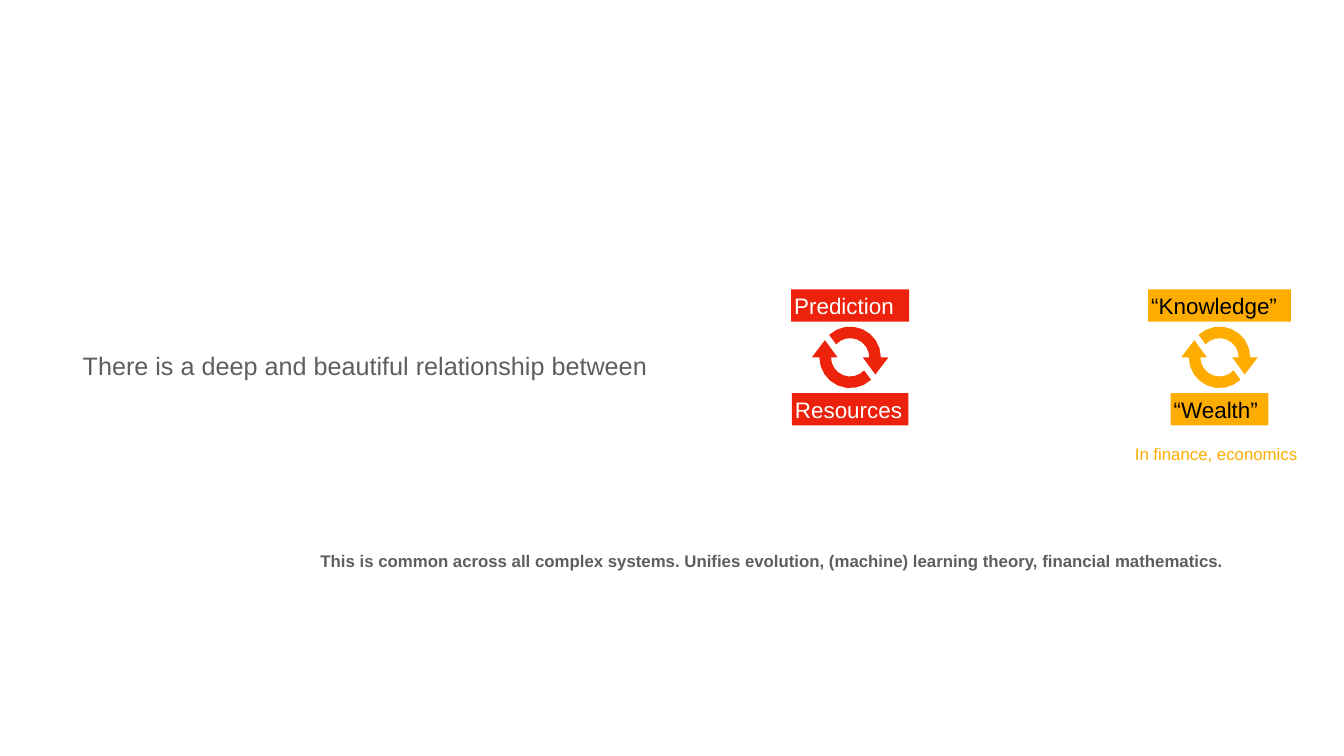
import math
from dataclasses import dataclass

import pptx
import pptx.dml.color
import pptx.enum.shapes
import pptx.enum.text
import pptx.util

PX = 9144  # EMU per px, 100 px to the inch


@dataclass(frozen=True)
class Theme:
    font: str = "Arial"
    grey: str = "5E5E5E"
    red: str = "ED220D"
    arrow_red: str = "EE230C"
    amber: str = "FEAD00"
    white: str = "FFFFFF"
    black: str = "000000"
    lead: int = 36
    label: int = 32
    note: int = 24


THEME = Theme()


def px(value):
    return pptx.util.Emu(round(value * PX))


def rgb(value):
    return pptx.dml.color.RGBColor.from_string(value)


def paint(sp, color):
    sp.shadow.inherit = False
    sp.fill.solid()
    sp.fill.fore_color.rgb = rgb(color)
    sp.line.fill.background()


def add_text(s, text, left, top, width, height, *, size, color, bold=False, fill=None):
    """Add a one-line text, on a filled rectangle if fill is given."""
    box = [px(v) for v in (left, top, width, height)]
    if fill:
        sp = s.shapes.add_shape(pptx.enum.shapes.MSO_SHAPE.RECTANGLE, *box)
        paint(sp, fill)
    else:
        sp = s.shapes.add_textbox(*box)
    tf = sp.text_frame
    tf.word_wrap = True
    tf.auto_size = pptx.enum.text.MSO_AUTO_SIZE.SHAPE_TO_FIT_TEXT
    tf.vertical_anchor = pptx.enum.text.MSO_ANCHOR.MIDDLE
    tf.margin_left = tf.margin_right = tf.margin_top = tf.margin_bottom = px(6)
    p = tf.paragraphs[0]
    p.alignment = pptx.enum.text.PP_ALIGN.LEFT
    r = p.add_run()
    r.text = text
    r.font.name = THEME.font
    r.font.size = pptx.util.Pt(size)
    r.font.bold = bold
    r.font.color.rgb = rgb(color)


def arc(radius, start, end, steps=8):
    angles = [math.radians(start + (end - start) * i / steps) for i in range(steps + 1)]
    return [(radius * math.cos(a), radius * math.sin(a)) for a in angles]


def add_cycle(s, center, middle, color):
    """Draw two curved arrows chasing each other, the second a half turn of the first."""
    head = [(76, 0), (50, 34), (25, 0)]
    arrow = arc(61, -133, 0) + head + arc(38, 0, -137)
    upper, lower = [
        [(px(center + turn * x), px(middle + turn * y)) for x, y in arrow]
        for turn in (1, -1)
    ]
    builder = s.shapes.build_freeform(*upper[0])
    builder.add_line_segments(upper[1:])
    builder.move_to(*lower[0])
    builder.add_line_segments(lower[1:])
    paint(builder.convert_to_shape(), color)


def add_pair(s, center, labels, fill, color, arrow_color):
    """Stack two labels with a cycle between them, all centred on one axis."""
    for (text, width), top in zip(labels, (574, 780)):
        add_text(s, text, center - width / 2, top, width, 64,
                 size=THEME.label, color=color, fill=fill)
    add_cycle(s, center, 709, arrow_color)


def main():
    prs = pptx.Presentation()
    prs.slide_width, prs.slide_height = px(2667), px(1500)
    s = prs.slides.add_slide(prs.slide_layouts[6])

    add_text(s, "There is a deep and beautiful relationship between",
             158, 690, 1151, 69, size=THEME.lead, color=THEME.grey)
    add_pair(s, 1687, [("Prediction", 234), ("Resources", 231)],
             THEME.red, THEME.white, THEME.arrow_red)
    add_pair(s, 2420, [("“Knowledge”", 283), ("“Wealth”", 194)],
             THEME.amber, THEME.black, THEME.amber)
    add_text(s, "In finance, economics", 2246, 875, 348, 50,
             size=THEME.note, color=THEME.amber)
    add_text(s, "This is common across all complex systems. Unifies evolution, "
             "(machine) learning theory, financial mathematics.",
             630, 1087, 1804, 50, size=THEME.note, color=THEME.grey, bold=True)

    prs.save("out.pptx")


if __name__ == "__main__":
    main()
